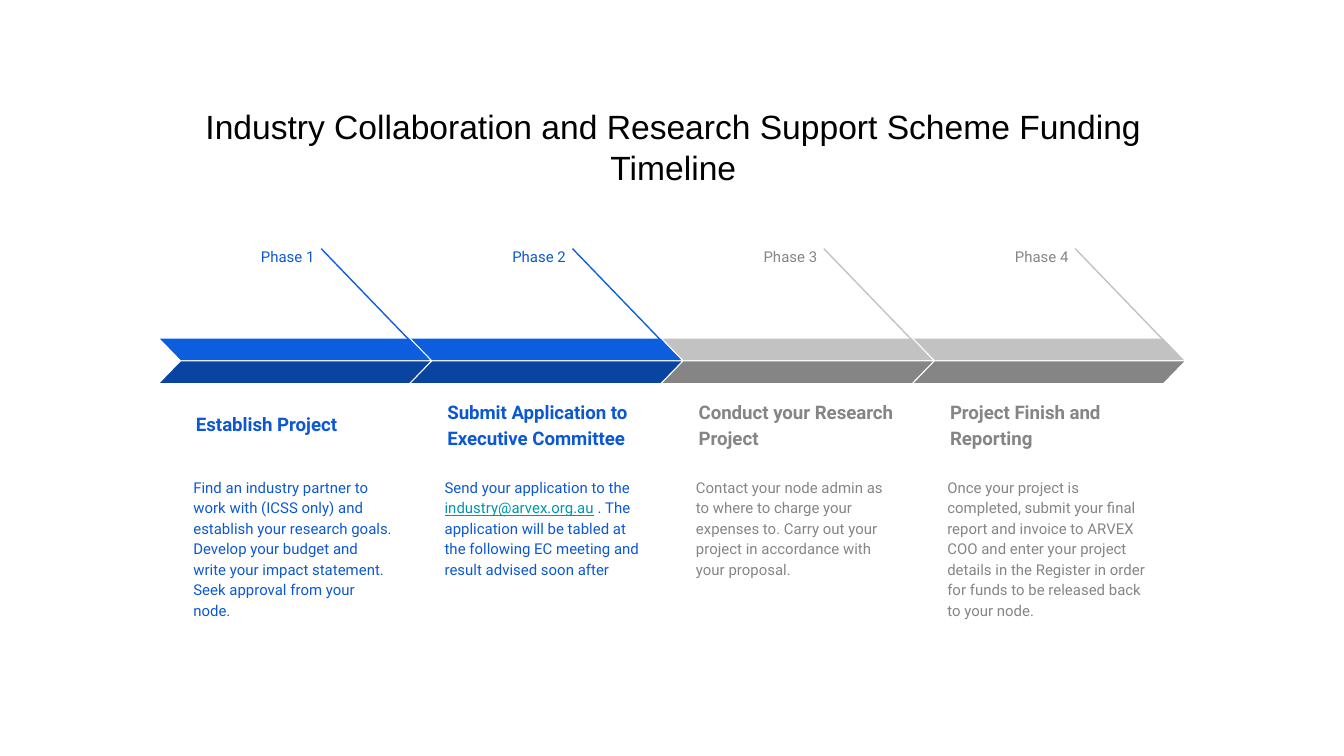
from pptx import Presentation
from pptx.dml.color import RGBColor
from pptx.enum.shapes import MSO_CONNECTOR, MSO_SHAPE
from pptx.enum.text import MSO_ANCHOR, MSO_AUTO_SIZE, PP_ALIGN
from pptx.oxml.ns import qn
from pptx.util import Inches, Pt
from lxml import etree

BLACK = RGBColor(0x00, 0x00, 0x00)
TEAL = RGBColor(0x00, 0x97, 0xA7)
INK = RGBColor(0x0C, 0x58, 0xD3)
BLUE = RGBColor(0x0D, 0x5D, 0xDF)
NAVY = RGBColor(0x09, 0x44, 0xA1)
SILVER = RGBColor(0xC2, 0xC2, 0xC2)
GREY = RGBColor(0x85, 0x85, 0x85)

TOP, BOTTOM = MSO_ANCHOR.TOP, MSO_ANCHOR.BOTTOM
LEFT, RIGHT, CENTER = PP_ALIGN.LEFT, PP_ALIGN.RIGHT, PP_ALIGN.CENTER
STRAIGHT = MSO_CONNECTOR.STRAIGHT
SLANT = MSO_SHAPE.PARALLELOGRAM
NO_FIT = MSO_AUTO_SIZE.NONE

# Text, upper band and lower band colours
ACTIVE = (INK, BLUE, NAVY)
LATER = (GREY, SILVER, GREY)

TITLE = "Industry Collaboration and Research Support Scheme Funding Timeline"
EMAIL = "industry@arvex.org.au"
PHASES = [
    ("Establish Project", TOP, ACTIVE,
     ["Find an industry partner to work with (ICSS only) and establish your "
      "research goals. Develop your budget and write your impact statement. "
      "Seek approval from your node."]),
    ("Submit Application to Executive Committee", BOTTOM, ACTIVE,
     ["Send your application to the ", EMAIL,
      " . The application will be tabled at the following EC meeting and "
      "result advised soon after"]),
    ("Conduct your Research Project", BOTTOM, LATER,
     ["Contact your node admin as to where to charge your expenses to. Carry "
      "out your project in accordance with your proposal."]),
    ("Project Finish and Reporting", BOTTOM, LATER,
     ["Once your project is completed, submit your final report and invoice "
      "to ARVEX COO and enter your project details in the Register in order "
      "for funds to be released back to your node."]),
]
WIDTH = Inches(10)
START, STEP, LEVEL = 1.19, 1.87, 1.85


def set_frame(frame, anchor):
    frame.word_wrap = True
    frame.auto_size = NO_FIT
    frame.vertical_anchor = anchor
    frame.margin_left = frame.margin_right = Inches(0.1)
    frame.margin_top = frame.margin_bottom = Inches(0.1)


def set_font(font, name, size, color, bold=False):
    font.name = name
    font.size = Pt(size)
    font.bold = bold
    font.color.rgb = color


def add_text(slide, box, parts, size, color, align=LEFT, anchor=TOP, bold=False):
    """Add a text box whose single paragraph has one run for each part."""
    frame = slide.shapes.add_textbox(*map(Inches, box)).text_frame
    set_frame(frame, anchor)
    para = frame.paragraphs[0]
    para.alignment = align
    para.line_spacing = 1.15
    for part in parts:
        run = para.add_run()
        run.text = part
        set_font(run.font, "Roboto", size, color, bold)
        if part == EMAIL:
            run.font.underline = True
            run.font.color.rgb = TEAL


def add_band(slide, box, color, flip):
    band = slide.shapes.add_shape(SLANT, *map(Inches, box))
    band.adjustments[0] = 0.97
    band.shadow.inherit = False
    band.fill.solid()
    band.fill.fore_color.rgb = color
    band.line.fill.background()
    if flip:
        band.element.spPr.find(qn("a:xfrm")).set("flipH", "1")


def add_line(slide, start, end, color):
    line = slide.shapes.add_connector(STRAIGHT, *map(Inches, start + end))
    line.line.color.rgb = color
    line.line.width = Pt(0.75)
    etree.SubElement(line.element.spPr, qn("a:effectLst"))


def add_title(slide, x, y, width, height):
    title = slide.shapes.title
    title.left, title.top = Inches(x), Inches(y)
    title.width, title.height = Inches(width), Inches(height)
    frame = title.text_frame
    frame.text = TITLE
    set_frame(frame, TOP)
    para = frame.paragraphs[0]
    para.alignment = CENTER
    set_font(para.runs[0].font, "Arial", 18, BLACK)


def add_phase(slide, x, y, number, head, anchor, colors, body):
    ink, light, dark = colors
    add_text(slide, (x + 0.57, y - 0.13, 0.68, 0.26), [f"Phase {number}"],
             8, ink, align=RIGHT)
    add_text(slide, (x + 0.17, y + 1.1, 1.65, 0.49), [head], 10, ink,
             anchor=anchor, bold=True)
    add_text(slide, (x + 0.15, y + 1.59, 1.69, 0.81), body, 8, ink)
    add_line(slide, (x + 1.2, y), (x + 1.99, y + 0.82), light)
    add_band(slide, (x, y + 0.67, 2.01, 0.16), light, True)
    add_band(slide, (x, y + 0.84, 2.01, 0.16), dark, False)


def main():
    deck = Presentation()
    deck.slide_width, deck.slide_height = WIDTH, WIDTH * 9 // 16
    slide = deck.slides.add_slide(deck.slide_layouts[5])
    add_title(slide, 1.03, 0.69, 7.96, 0.59)
    for i, phase in enumerate(PHASES):
        add_phase(slide, START + i * STEP, LEVEL, i + 1, *phase)
    deck.save("out.pptx")


if __name__ == "__main__":
    main()
